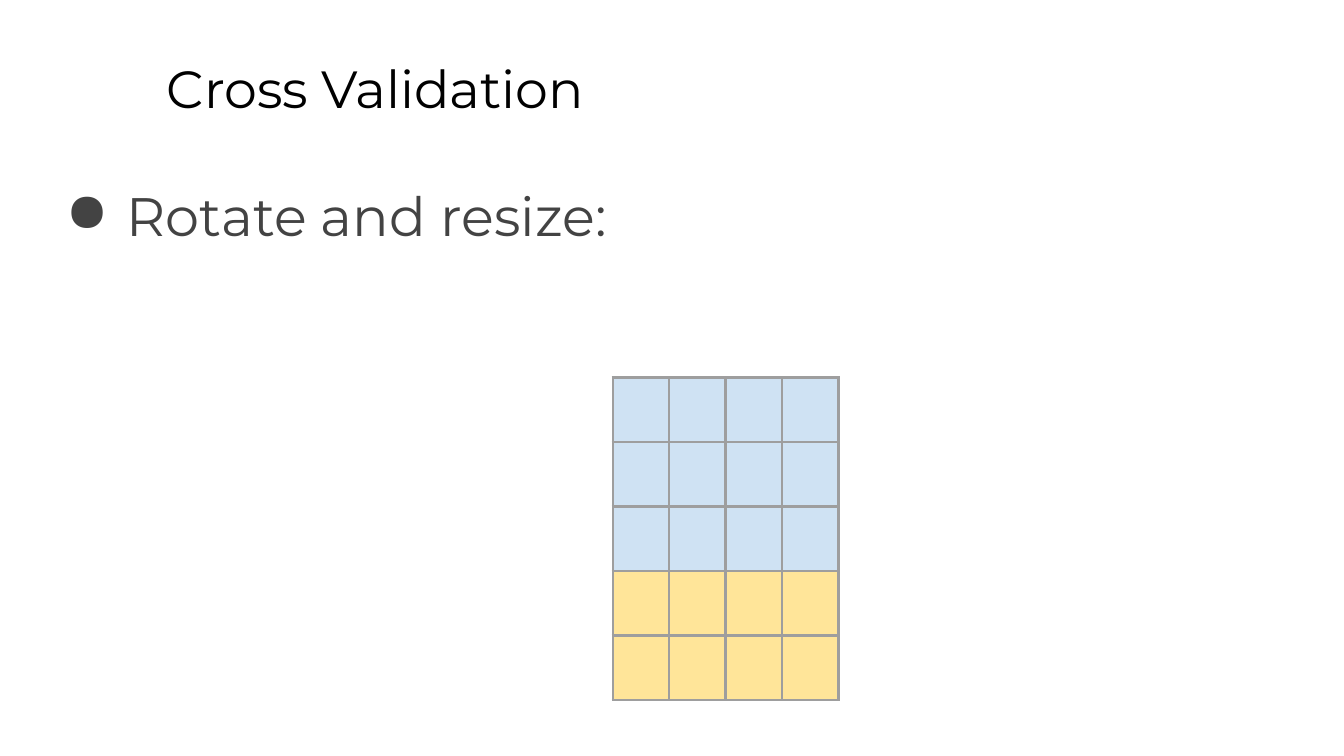
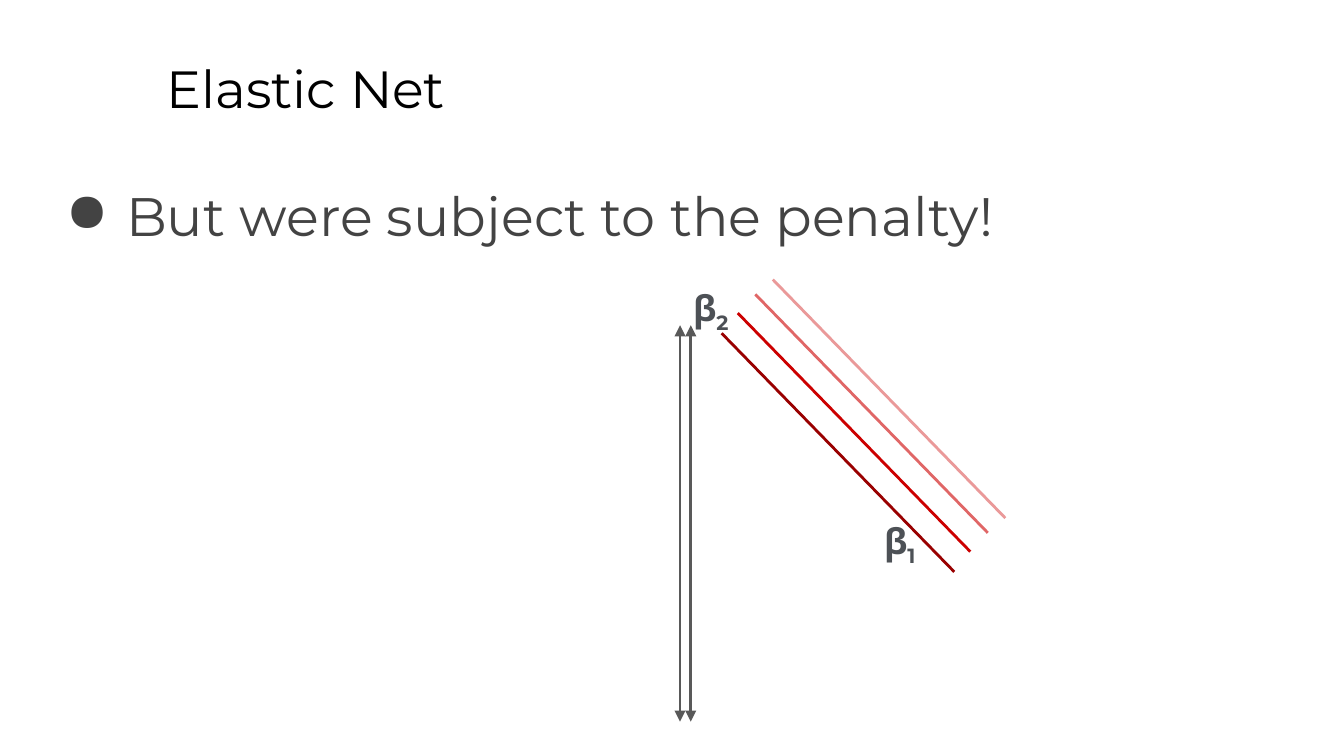
import pptx
import pptx.dml.color
import pptx.enum.shapes
import pptx.enum.text
import pptx.oxml
import pptx.oxml.ns
import pptx.util

NAMESPACE = pptx.oxml.ns.nsdecls("a")
FONT = "Montserrat"
COLORS = {
    "background": "FFFFFF",
    "title": "000000",
    "body": "434343",
    "label": "4D5156",
    "axis": "595959",
    "border": "9E9E9E",
    "train": "CFE2F3",
    "test": "FFE599",
}
RGB = {name: pptx.dml.color.RGBColor.from_string(code) for name, code in COLORS.items()}
STYLES = {
    "title": {"name": FONT, "size": pptx.util.Pt(28), "bold": False},
    "body": {"name": FONT, "size": pptx.util.Pt(29), "bold": False},
    "label": {"name": FONT, "size": pptx.util.Pt(19), "bold": True},
}

# The slide is a grid of 100 columns by 56.25 rows.
CELL = pptx.util.Inches(10) / 100
presentation = pptx.Presentation()
presentation.slide_width = round(100 * CELL)
presentation.slide_height = round(56.25 * CELL)


def add_text(slide, box, style, text, subscript=""):
    """Add a one-paragraph text box; box is left, top, width, height in grid cells."""
    shape = slide.shapes.add_textbox(*(round(value * CELL) for value in box))
    frame = shape.text_frame
    frame_format = {"word_wrap": True, "vertical_anchor": pptx.enum.text.MSO_ANCHOR.TOP}
    for side in ("left", "top", "right", "bottom"):
        frame_format[f"margin_{side}"] = round(CELL)
    for attribute, value in frame_format.items():
        setattr(frame, attribute, value)
    paragraph = frame.paragraphs[0]
    if style == "body":
        properties = paragraph._p.get_or_add_pPr()
        properties.set("marL", str(round(5 * CELL)))
        properties.set("indent", str(round(-4.5 * CELL)))
        for bullet in (
            f'<a:buClr {NAMESPACE}><a:srgbClr val="{COLORS["body"]}"/></a:buClr>',
            f'<a:buChar {NAMESPACE} char="●"/>',
        ):
            properties.append(pptx.oxml.parse_xml(bullet))
    for part in filter(None, (text, subscript)):
        run = paragraph.add_run()
        run.text = part
        for attribute, value in STYLES[style].items():
            setattr(run.font, attribute, value)
        run.font.color.rgb = RGB[style]
    if subscript:
        run.font._element.set("baseline", "-25000")


def add_line(slide, start, end, color, arrows=False):
    """Add a straight line between two grid points."""
    connector = slide.shapes.add_connector(
        pptx.enum.shapes.MSO_CONNECTOR.STRAIGHT,
        *(round(value * CELL) for value in (*start, *end)),
    )
    connector.line.width = pptx.util.Pt(1.5)
    connector.line.color.rgb = pptx.dml.color.RGBColor.from_string(color)
    if arrows:
        for end_name in ("headEnd", "tailEnd"):
            arrow = f'<a:{end_name} {NAMESPACE} type="triangle"/>'
            connector.line._get_or_add_ln().append(pptx.oxml.parse_xml(arrow))
    connector._element.spPr.append(pptx.oxml.parse_xml(f"<a:effectLst {NAMESPACE}/>"))


# Both slides: title and one bullet
slides = []
for title, bullet in (
    ("Cross Validation", "Rotate and resize:"),
    ("Elastic Net", "But were subject to the penalty!"),
):
    slide = presentation.slides.add_slide(presentation.slide_layouts[6])
    slide.background.fill.solid()
    slide.background.fill.fore_color.rgb = RGB["background"]
    add_text(slide, (11.4, 3.2, 85.2, 6.3), "title", title)
    add_text(slide, (3.4, 12.6, 95, 8.6), "body", bullet)
    slides.append(slide)
validation_slide, elastic_slide = slides

# Cross validation: training rows above test rows
row_kinds = ["train"] * 3 + ["test"] * 2
column_count, column_width, row_height = 4, 4.2, 4.8
table = validation_slide.shapes.add_table(
    len(row_kinds), column_count,
    round(45.6 * CELL), round(28.1 * CELL),
    round(column_count * column_width * CELL), round(len(row_kinds) * row_height * CELL),
).table
table.first_row = table.horz_banding = False
for column in table.columns:
    column.width = round(column_width * CELL)
for row, kind in zip(table.rows, row_kinds):
    row.height = round(row_height * CELL)
    for cell in row.cells:
        for edge in ("lnL", "lnR", "lnT", "lnB"):
            border = (
                f'<a:{edge} {NAMESPACE} w="{pptx.util.Pt(1.5)}"><a:solidFill>'
                f'<a:srgbClr val="{COLORS["border"]}"/></a:solidFill></a:{edge}>'
            )
            cell._tc.get_or_add_tcPr().append(pptx.oxml.parse_xml(border))
        cell.fill.solid()
        cell.fill.fore_color.rgb = RGB[kind]

# Elastic net: coefficient axes, labels and penalty contours
for axis_x in (50.6, 51.4):
    add_line(elastic_slide, (axis_x, 24.2), (axis_x, 53.7), COLORS["axis"], arrows=True)
for left, top, index in ((50.6, 20.3, "2"), (64.8, 37.6, "1")):
    add_text(elastic_slide, (left, top, 5, 6.3), "label", "β", index)
for left, top, color in (
    (53.7, 24.8, "990000"),
    (54.9, 23.3, "CC0000"),
    (56.2, 21.9, "E06666"),
    (57.5, 20.8, "EA9999"),
):
    add_line(elastic_slide, (left, top), (left + 17.3, top + 17.75), color)

presentation.save("out.pptx")
